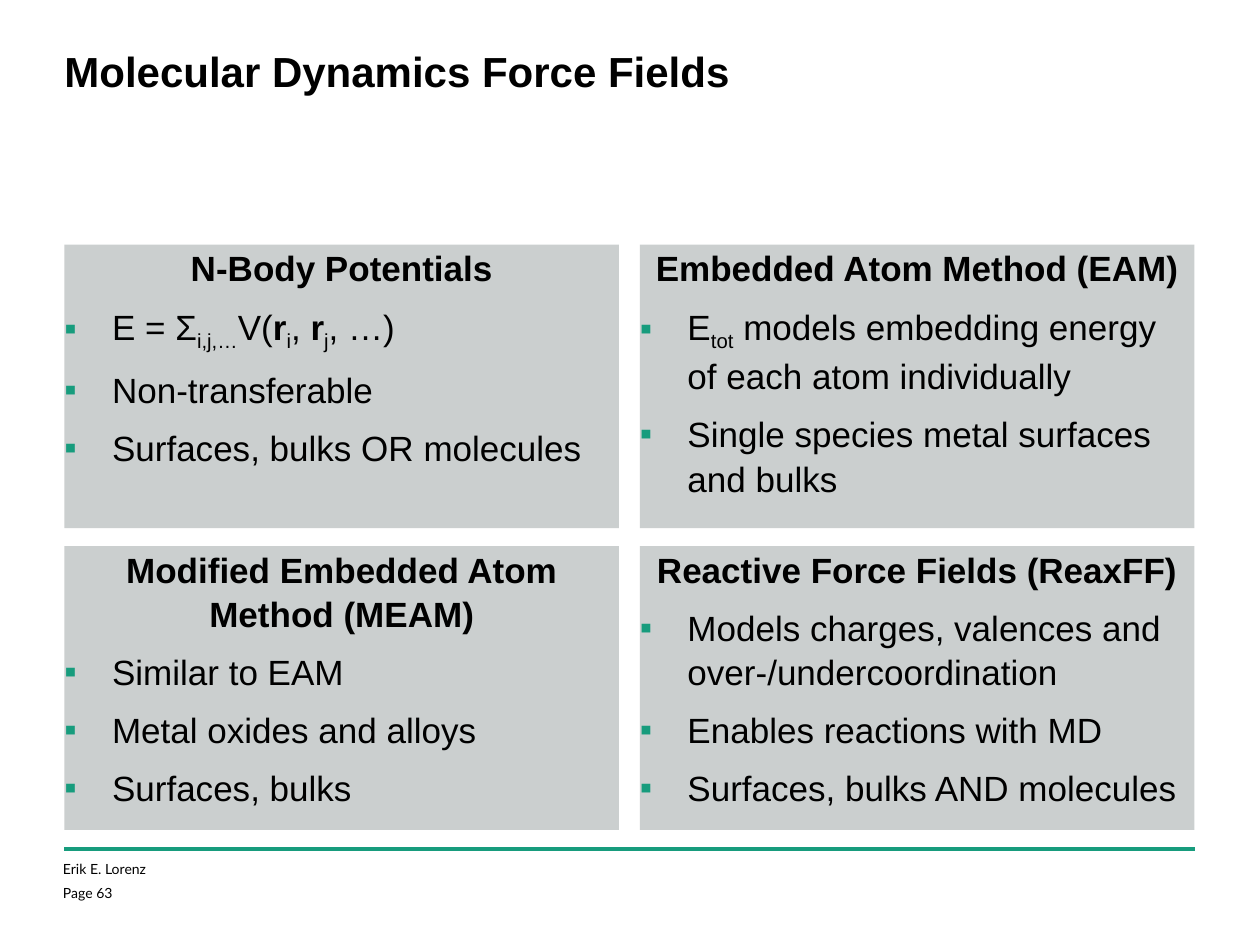
import dataclasses

import pptx
import pptx.dml.color
import pptx.enum.shapes
import pptx.enum.text
import pptx.oxml.ns
import pptx.util
from lxml import etree

Cm = pptx.util.Cm
Pt = pptx.util.Pt
qn = pptx.oxml.ns.qn


@dataclasses.dataclass(frozen=True)
class Theme:
    ink: str = "000000"
    accent: str = "179C7D"
    panel: str = "CBCFCF"
    font: str = "Arial"
    footer_font: str = "Lato"
    title_size: int = 24
    body_size: int = 20
    footer_size: int = 8


THEME = Theme()

# Each point is a list of (text, style) pieces; style is "", "bold" or "sub"
PANELS = [
    ("N-Body Potentials", [
        [("E = Σ", ""), ("i,j,…", "sub"), ("V(", ""), ("r", "bold"), ("i", "sub"),
         (", ", ""), ("r", "bold"), ("j", "sub"), (", …)", "")],
        [("Non-transferable", "")],
        [("Surfaces, bulks OR molecules", "")],
    ]),
    ("Embedded Atom Method (EAM)", [
        [("E", ""), ("tot", "sub"),
         (" models embedding energy of each atom individually", "")],
        [("Single species metal surfaces and bulks", "")],
    ]),
    ("Modified Embedded Atom Method (MEAM)", [
        [("Similar to EAM", "")],
        [("Metal oxides and alloys", "")],
        [("Surfaces, bulks", "")],
    ]),
    ("Reactive Force Fields (ReaxFF)", [
        [("Models charges, valences and over-/undercoordination", "")],
        [("Enables reactions with MD", "")],
        [("Surfaces, bulks AND molecules", "")],
    ]),
]


def rgb(code):
    return pptx.dml.color.RGBColor.from_string(code)


def set_font(font, size, name=THEME.font, bold=False):
    font.size = Pt(size)
    font.name = name
    font.bold = bold
    font.color.rgb = rgb(THEME.ink)


def prepare_frame(frame):
    frame.word_wrap = True
    frame.vertical_anchor = pptx.enum.text.MSO_ANCHOR.TOP
    frame.margin_left = frame.margin_right = 0
    frame.margin_top = frame.margin_bottom = 0


def add_bullet(para):
    props = para._p.get_or_add_pPr()
    indent = Cm(0.96)
    props.set("marL", str(indent))
    props.set("indent", str(-indent))
    color = etree.SubElement(props, qn("a:buClr"))
    etree.SubElement(color, qn("a:srgbClr"), val=THEME.accent)
    etree.SubElement(props, qn("a:buFont"), typeface=THEME.font)
    etree.SubElement(props, qn("a:buChar"), char="▪")


def add_title(page, left, top, width, height):
    box = page.shapes.add_textbox(left, top, width, height)
    prepare_frame(box.text_frame)
    box.text_frame.text = "Molecular Dynamics Force Fields"
    set_font(box.text_frame.paragraphs[0].runs[0].font, THEME.title_size, bold=True)


def add_panel(page, left, top, width, height, heading, points):
    panel = page.shapes.add_shape(
        pptx.enum.shapes.MSO_SHAPE.RECTANGLE, left, top, width, height)
    panel.shadow.inherit = False
    panel.fill.solid()
    panel.fill.fore_color.rgb = rgb(THEME.panel)
    panel.line.fill.background()
    frame = panel.text_frame
    prepare_frame(frame)

    # Heading
    frame.text = heading
    para = frame.paragraphs[0]
    para.alignment = pptx.enum.text.PP_ALIGN.CENTER
    set_font(para.runs[0].font, THEME.body_size, bold=True)

    # Bulleted points
    for pieces in points:
        para = frame.add_paragraph()
        para.alignment = pptx.enum.text.PP_ALIGN.LEFT
        add_bullet(para)
        for text, style in pieces:
            span = para.add_run()
            span.text = text
            set_font(span.font, THEME.body_size, bold=style == "bold")
            if style == "sub":
                span._r.get_or_add_rPr().set("baseline", "-25000")

    for para in frame.paragraphs:
        para.line_spacing = 1.05
        para.space_after = Pt(0.4 * THEME.body_size)


def add_panel_grid(page, left, top, width, height):
    gap_x, gap_y = Cm(0.42), Cm(0.36)
    panel_width = (width - gap_x) // 2
    panel_height = (height - gap_y) // 2
    for index, (heading, points) in enumerate(PANELS):
        row, column = divmod(index, 2)
        add_panel(page, left + column * (panel_width + gap_x),
                  top + row * (panel_height + gap_y),
                  panel_width, panel_height, heading, points)


def add_footer(page, left, top, width, height):
    # Rule above the footer text
    rule = page.shapes.add_connector(
        pptx.enum.shapes.MSO_CONNECTOR.STRAIGHT, left, top, left + width, top)
    rule.line.color.rgb = rgb(THEME.accent)
    rule.line.width = Pt(2.5)
    etree.SubElement(rule._element.spPr, qn("a:effectLst"))

    # Author and page number
    offset = Cm(0.23)
    box = page.shapes.add_textbox(left - Cm(0.03), top + offset, Cm(8.05), height - offset)
    frame = box.text_frame
    prepare_frame(frame)
    frame.text = "Erik E. Lorenz\nPage 63"
    for para in frame.paragraphs:
        set_font(para.runs[0].font, THEME.footer_size, THEME.footer_font)
    frame.paragraphs[1].space_before = Pt(0.5 * THEME.footer_size)


def main():
    deck = pptx.Presentation()
    deck.slide_width, deck.slide_height = Cm(25.4), Cm(19.05)
    page = deck.slides.add_slide(deck.slide_layouts[6])
    left, width = Cm(1.3), Cm(22.78)
    add_footer(page, left, Cm(17.12), width, Cm(1.1))
    add_title(page, left, Cm(0.91), width, Cm(3.4))
    add_panel_grid(page, left, Cm(4.93), width, Cm(11.8))
    deck.save("out.pptx")


if __name__ == "__main__":
    main()
